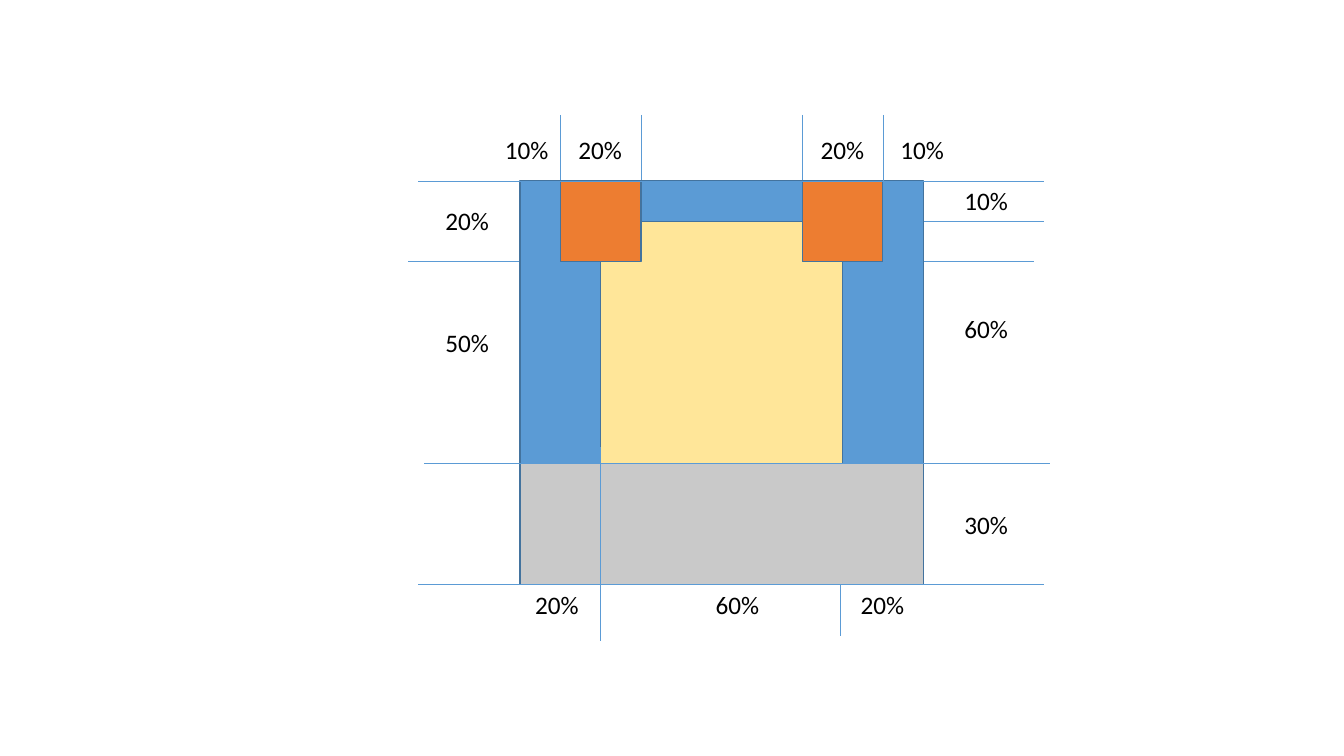
from dataclasses import dataclass

from lxml import etree
from pptx import Presentation
from pptx.dml.color import RGBColor
from pptx.enum.shapes import MSO_CONNECTOR, MSO_SHAPE
from pptx.enum.text import MSO_AUTO_SIZE
from pptx.oxml.ns import qn
from pptx.util import Pt

RECT = MSO_SHAPE.RECTANGLE
STRAIGHT = MSO_CONNECTOR.STRAIGHT
FIT_SHAPE = MSO_AUTO_SIZE.SHAPE_TO_FIT_TEXT

FONT = "Calibri"
BLUE, OUTLINE, GREY = "5B9BD5", "43739E", "C9C9C9"
YELLOW, ORANGE, BLACK = "FFE699", "ED7D31", "000000"

# The square is 10 units wide and high; one unit is 10 %.
LEFT, TOP, UNIT = 371.5, 129.4, 28.8
ROW_LENGTH, COLUMN_LENGTH = 447, 138.4
LABEL_W, LABEL_H = 46, 29


@dataclass
class Block:
    """Rectangle measured in units from the square's top left corner."""
    col: float
    row: float
    cols: float
    rows: float
    fill: str


@dataclass
class Guide:
    x1: float
    y1: float
    x2: float
    y2: float


@dataclass
class Label:
    text: str
    x: float
    y: float


def grid_x(col: float) -> float:
    return LEFT + col * UNIT


def grid_y(row: float) -> float:
    return TOP + row * UNIT


def row_guide(row: float, x: float, length: float = ROW_LENGTH) -> Guide:
    return Guide(x, grid_y(row), x + length, grid_y(row))


def column_guide(x: float, y: float) -> Guide:
    return Guide(x, y, x, y + COLUMN_LENGTH)


GUIDE_TOP = 82
BACK_GUIDES = [
    row_guide(2, 291.6),
    *(column_guide(grid_x(col), GUIDE_TOP) for col in (7, 3)),
    column_guide(600, 315.6),
    row_guide(1, LEFT, 374.4),
    column_guide(grid_x(1), GUIDE_TOP),
]
BLOCKS = [
    Block(0, 0, 10, 10, BLUE),
    Block(0, 7, 10, 3, GREY),
    Block(2, 1, 6, 6, YELLOW),
    Block(1, 0, 2, 2, ORANGE),
    Block(7, 0, 2, 2, ORANGE),
]
FRONT_GUIDES = [
    row_guide(0, 298.8),
    row_guide(10, 298.8),
    row_guide(7, 303.2),
    column_guide(grid_x(2), 319.6),
    column_guide(grid_x(9), GUIDE_TOP),
]

ABOVE_Y, BELOW_Y, LEFT_X, RIGHT_X = 92.4, 417.2, 311, 681.8
LABELS = [
    Label("10%", 353.5, ABOVE_Y),
    Label("20%", 406, ABOVE_Y),
    Label("20%", 579, ABOVE_Y),
    Label("10%", 636, ABOVE_Y),
    Label("20%", LEFT_X, 143.3),
    Label("50%", LEFT_X, 230.4),
    Label("10%", RIGHT_X, 129),
    Label("60%", RIGHT_X, 220.3),
    Label("30%", RIGHT_X, 360),
    Label("20%", 375.2, BELOW_Y),
    Label("60%", 504, BELOW_Y),
    Label("20%", 607.7, BELOW_Y),
]


def rgb(value: str) -> RGBColor:
    return RGBColor.from_string(value)


def add_guide(s, guide: Guide) -> None:
    line = s.shapes.add_connector(
        STRAIGHT, Pt(guide.x1), Pt(guide.y1), Pt(guide.x2), Pt(guide.y2))
    line.line.color.rgb = rgb(BLUE)
    line.line.width = Pt(0.5)
    etree.SubElement(line._element.spPr, qn("a:effectLst"))


def add_block(s, block: Block) -> None:
    sp = s.shapes.add_shape(
        RECT, Pt(grid_x(block.col)), Pt(grid_y(block.row)),
        Pt(block.cols * UNIT), Pt(block.rows * UNIT))
    sp.shadow.inherit = False
    sp.fill.solid()
    sp.fill.fore_color.rgb = rgb(block.fill)
    sp.line.color.rgb = rgb(OUTLINE)
    sp.line.width = Pt(1)


def add_label(s, label: Label) -> None:
    sp = s.shapes.add_textbox(
        Pt(label.x), Pt(label.y), Pt(LABEL_W), Pt(LABEL_H))
    tf = sp.text_frame
    tf.word_wrap = False
    tf.auto_size = FIT_SHAPE
    r = tf.paragraphs[0].add_run()
    r.text = label.text
    r.font.name = FONT
    r.font.size = Pt(18)
    r.font.color.rgb = rgb(BLACK)


def main() -> None:
    prs = Presentation()
    prs.slide_width, prs.slide_height = Pt(960), Pt(540)
    s = prs.slides.add_slide(prs.slide_layouts[6])
    for guide in BACK_GUIDES:
        add_guide(s, guide)
    for block in BLOCKS:
        add_block(s, block)
    for guide in FRONT_GUIDES:
        add_guide(s, guide)
    for label in LABELS:
        add_label(s, label)
    prs.save("out.pptx")


if __name__ == "__main__":
    main()
